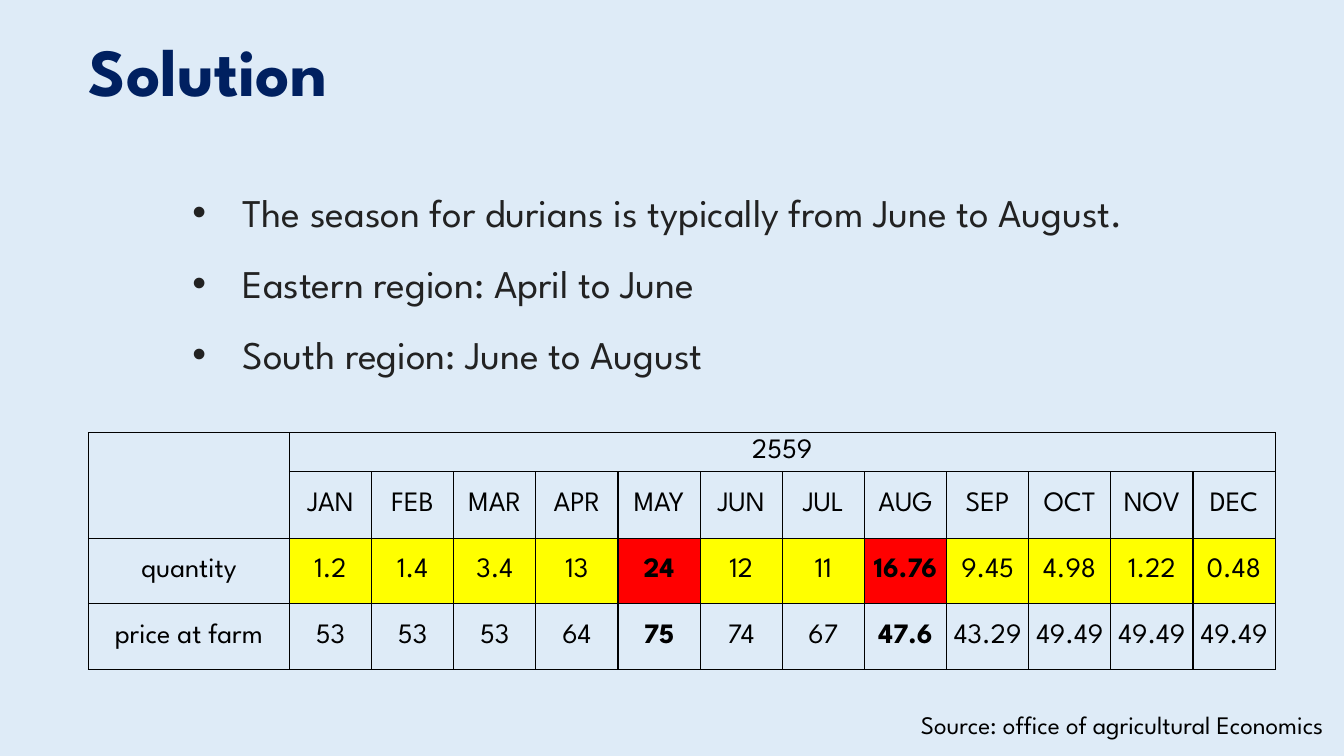
from lxml.etree import SubElement
from pptx import Presentation
from pptx.dml.color import RGBColor
from pptx.enum.text import MSO_ANCHOR as Anchor, PP_ALIGN as Align
from pptx.oxml.ns import qn
from pptx.util import Pt

FONT = "League Spartan"
NAVY, BLACK, CHARCOAL = "002060", "000000", "222222"
PALE_BLUE, YELLOW, RED = "DEEBF7", "FFFF00", "FF0000"

MONTHS = "JAN FEB MAR APR MAY JUN JUL AUG SEP OCT NOV DEC".split()
QUANTITY = "1.2 1.4 3.4 13 24 12 11 16.76 9.45 4.98 1.22 0.48".split()
PRICE = "53 53 53 64 75 74 67 47.6 43.29 49.49 49.49 49.49".split()
PEAKS = {MONTHS.index("MAY") + 1, MONTHS.index("AUG") + 1}
SEASONS = [
    "The season for durians is typically from June to August.",
    "Eastern region: April to June",
    "South region: June to August",
]


def color(value):
    return RGBColor.from_string(value)


def write(frame, lines, size=20, fill=BLACK, bold=False, align=Align.LEFT,
          spacing=1.0, bullet_indent=None):
    for index, line in enumerate(lines):
        para = frame.add_paragraph() if index else frame.paragraphs[0]
        para.alignment = align
        para.line_spacing = spacing
        if bullet_indent:
            properties = para._p.get_or_add_pPr()
            properties.set("marL", str(Pt(bullet_indent)))
            properties.set("indent", str(-Pt(bullet_indent)))
            SubElement(properties, qn("a:buFont"), typeface="Arial")
            SubElement(properties, qn("a:buChar"), char="•")
        span = para.add_run()
        span.text = line
        span.font.name = FONT
        span.font.size = Pt(size)
        span.font.bold = bold
        span.font.color.rgb = color(fill)


def add_borders(cell, line_color=BLACK, width=1):
    properties = cell._tc.get_or_add_tcPr()
    for position, side in enumerate(("lnL", "lnR", "lnT", "lnB")):
        line = SubElement(properties, qn(f"a:{side}"), w=str(Pt(width)))
        solid = SubElement(line, qn("a:solidFill"))
        SubElement(solid, qn("a:srgbClr"), val=line_color)
        properties.insert(position, line)


class Slide:
    def __init__(self, deck, background):
        self.page = deck.slides.add_slide(deck.slide_layouts[6])
        fill = self.page.background.fill
        fill.solid()
        fill.fore_color.rgb = color(background)

    def text(self, lines, left, top, width, height, anchor=Anchor.TOP, **style):
        box = self.page.shapes.add_textbox(Pt(left), Pt(top), Pt(width), Pt(height))
        box.text_frame.word_wrap = True
        box.text_frame.vertical_anchor = anchor
        write(box.text_frame, lines, **style)

    def table(self, rows, left, top, widths, heights):
        frame = self.page.shapes.add_table(
            len(heights), len(widths), Pt(left), Pt(top),
            Pt(sum(widths)), Pt(sum(heights)))
        table = frame.table
        table.first_row = table.horz_banding = False
        for column, width in zip(table.columns, widths):
            column.width = Pt(width)
        for row, height in zip(table.rows, heights):
            row.height = Pt(height)
        for row_index, values in enumerate(rows):
            for column_index, value in enumerate(values):
                self.cell(table.cell(row_index, column_index), value)
        return table

    def cell(self, cell, value):
        """Fill one cell from a (text, fill or None, bold) triple."""
        label, fill, bold = value
        cell.margin_left = cell.margin_right = 0
        cell.margin_top = cell.margin_bottom = 0
        cell.vertical_anchor = Anchor.MIDDLE
        if fill:
            cell.fill.solid()
            cell.fill.fore_color.rgb = color(fill)
        else:
            cell.fill.background()
        add_borders(cell)
        if label:
            write(cell.text_frame, [label], bold=bold, align=Align.CENTER)


def plain_row(labels):
    return [(label, None, False) for label in labels]


def data_row(labels, fill=None, peak_fill=None):
    return [
        (label, peak_fill if index in PEAKS else fill if index else None,
         index in PEAKS)
        for index, label in enumerate(labels)
    ]


def main():
    deck = Presentation()
    deck.slide_width, deck.slide_height = Pt(960), Pt(540)
    slide = Slide(deck, PALE_BLUE)

    slide.text(["Solution"], 14.4, 18, 268.6, 70.6, anchor=Anchor.MIDDLE,
               size=48, fill=NAVY, bold=True, align=Align.CENTER, spacing=0.9)

    durians = slide.table(
        [
            plain_row(["", "2559"] + [""] * 11),
            plain_row([""] + MONTHS),
            data_row(["quantity"] + QUANTITY, YELLOW, RED),
            data_row(["price at farm"] + PRICE),
        ],
        63.2, 309, [143.5] + [58.7] * len(MONTHS), [28, 47.5, 46.8, 46.8])
    durians.cell(0, 0).merge(durians.cell(1, 0))
    durians.cell(0, 1).merge(durians.cell(0, len(MONTHS)))

    slide.text(["Source: office of agricultural Economics"],
               433.4, 503.3, 519.1, 29, size=18, align=Align.RIGHT)
    slide.text(SEASONS, 130.3, 114.5, 797, 160, size=28, fill=CHARCOAL,
               spacing=1.5, bullet_indent=36)

    deck.save("out.pptx")


if __name__ == "__main__":
    main()
